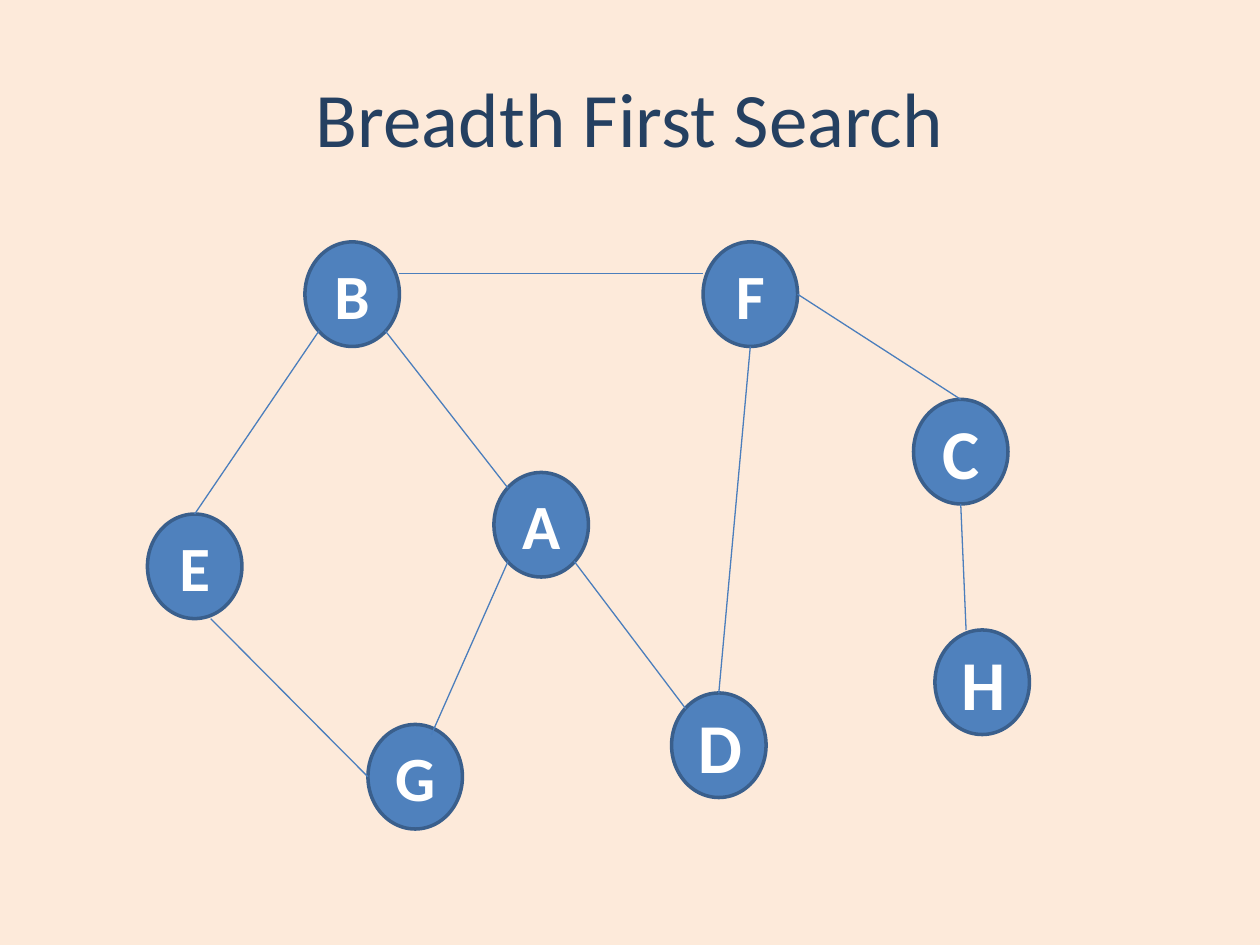
from lxml import etree
from pptx import Presentation
from pptx.dml.color import RGBColor
from pptx.enum.shapes import MSO_CONNECTOR, MSO_SHAPE
from pptx.enum.text import MSO_ANCHOR, PP_ALIGN
from pptx.oxml.ns import qn
from pptx.util import Inches, Pt

OVAL = MSO_SHAPE.OVAL
STRAIGHT = MSO_CONNECTOR.STRAIGHT
MIDDLE = MSO_ANCHOR.MIDDLE
CENTER = PP_ALIGN.CENTER

COLORS = {
    "background": "FDEADA",
    "title": "254061",
    "node": "4F81BD",
    "outline": "3A5F8C",
    "edge": "4B7EBC",
    "letter": "FFFFFF",
}
FONT = "Calibri"
NODE_WIDTH, NODE_HEIGHT = 0.75, 0.83

# Letter: left, top, text size
NODES = {
    "B": (2.42, 1.92, 36),
    "F": (5.58, 1.92, 36),
    "A": (3.92, 3.75, 36),
    "D": (5.33, 5.5, 40),
    "G": (2.92, 5.75, 36),
    "E": (1.17, 4.08, 36),
    "C": (7.25, 3.17, 40),
    "H": (7.42, 5, 40),
}

# Places on a node, as fractions of its width and height
TOP, BOTTOM, LEFT, RIGHT = (0.5, 0), (0.5, 1), (0, 0.5), (1, 0.5)
TOP_LEFT, BOTTOM_LEFT, BOTTOM_RIGHT = (0.15, 0.15), (0.15, 0.85), (0.85, 0.85)
UPPER_LEFT, UPPER_RIGHT = (0, 0.3), (1, 0.3)

# Start node, place on it, end node, place on it
EDGES = [
    ("B", BOTTOM_LEFT, "E", TOP),
    ("E", (0.67, 1), "G", LEFT),
    ("B", BOTTOM_RIGHT, "A", TOP_LEFT),
    ("A", BOTTOM_RIGHT, "D", TOP_LEFT),
    ("B", UPPER_RIGHT, "F", UPPER_LEFT),
    ("F", BOTTOM, "D", TOP),
    ("F", RIGHT, "C", TOP),
    ("C", BOTTOM, "H", (0.33, 0)),
    ("A", BOTTOM_LEFT, "G", (0.67, 0.1)),
]


def color(name):
    return RGBColor.from_string(COLORS[name])


class GraphSlide:
    """Holds the style and the slide on which the graph is drawn."""

    def __init__(self, presentation):
        self.slide = presentation.slides.add_slide(presentation.slide_layouts[6])
        self.nodes = {}
        fill = self.slide.background.fill
        fill.solid()
        fill.fore_color.rgb = color("background")

    def add_text(self, shape, text, size, color_name, bold=False):
        frame = shape.text_frame
        frame.word_wrap = True
        frame.vertical_anchor = MIDDLE
        paragraph = frame.paragraphs[0]
        paragraph.alignment = CENTER
        run = paragraph.add_run()
        run.text = text
        run.font.name = FONT
        run.font.size = Pt(size)
        run.font.bold = bold
        run.font.color.rgb = color(color_name)

    def title(self, text):
        box = self.slide.shapes.add_textbox(
            Inches(0.5), Inches(0.3), Inches(9), Inches(1.25))
        self.add_text(box, text, 44, "title")

    def node(self, letter, left, top, size):
        shape = self.slide.shapes.add_shape(
            OVAL, Inches(left), Inches(top), Inches(NODE_WIDTH), Inches(NODE_HEIGHT))
        shape.shadow.inherit = False
        shape.fill.solid()
        shape.fill.fore_color.rgb = color("node")
        shape.line.color.rgb = color("outline")
        shape.line.width = Pt(2)
        self.add_text(shape, letter, size, "letter", bold=True)
        self.nodes[letter] = shape

    def point(self, letter, place):
        shape = self.nodes[letter]
        across, down = place
        return (shape.left + round(shape.width * across),
                shape.top + round(shape.height * down))

    def edge(self, start, start_place, end, end_place):
        connector = self.slide.shapes.add_connector(
            STRAIGHT, *self.point(start, start_place), *self.point(end, end_place))
        connector.line.color.rgb = color("edge")
        connector.line.width = Pt(0.75)
        properties = connector._element.spPr
        etree.SubElement(properties, qn("a:effectLst"))
        if end_place == TOP:
            connector.end_connect(self.nodes[end], 0)


def main():
    presentation = Presentation()
    presentation.slide_width = Inches(10)
    presentation.slide_height = Inches(7.5)
    graph = GraphSlide(presentation)

    # Title
    graph.title("Breadth First Search")

    # Nodes
    for letter, (left, top, size) in NODES.items():
        graph.node(letter, left, top, size)

    # Edges
    for edge in EDGES:
        graph.edge(*edge)

    presentation.save("out.pptx")


if __name__ == "__main__":
    main()
